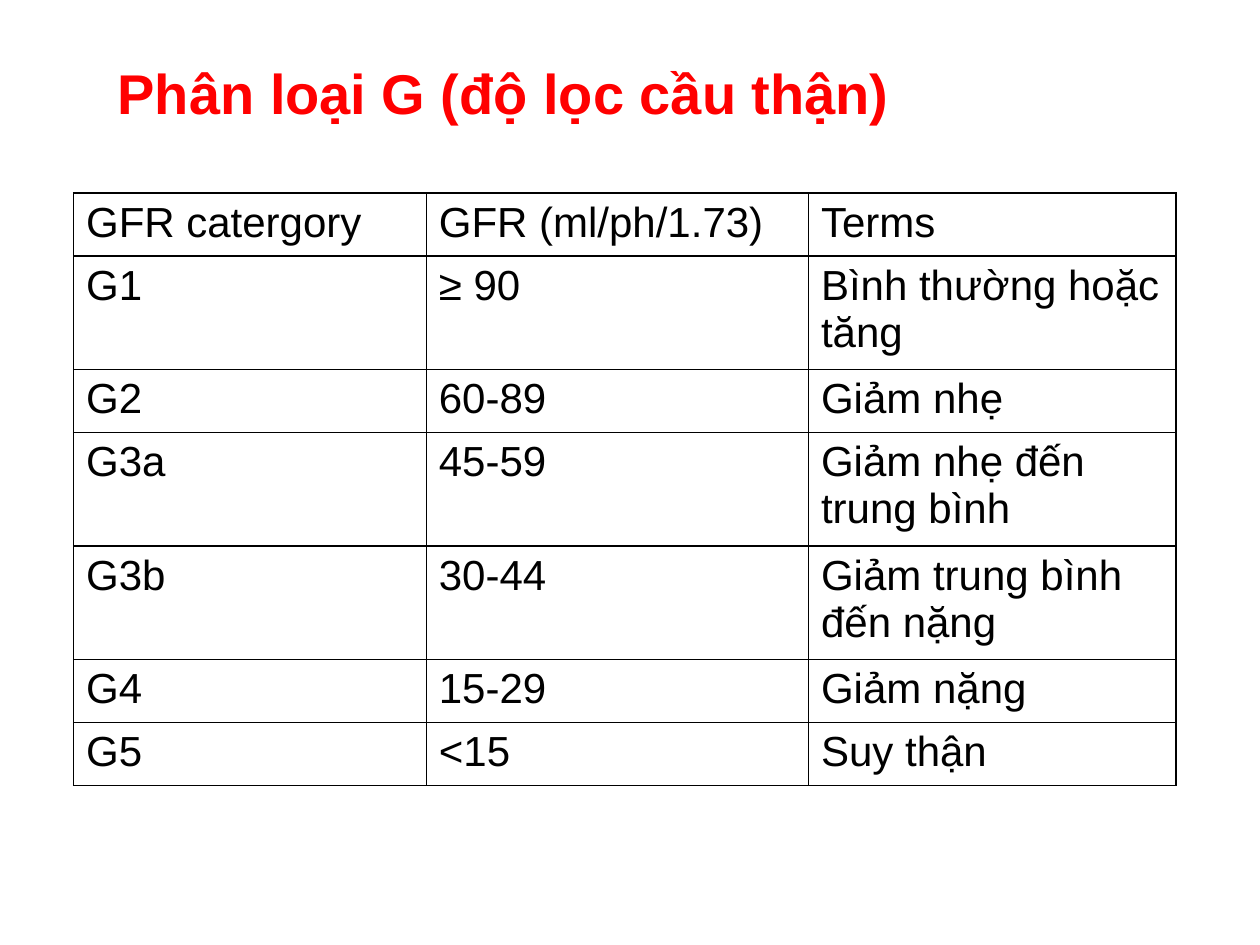
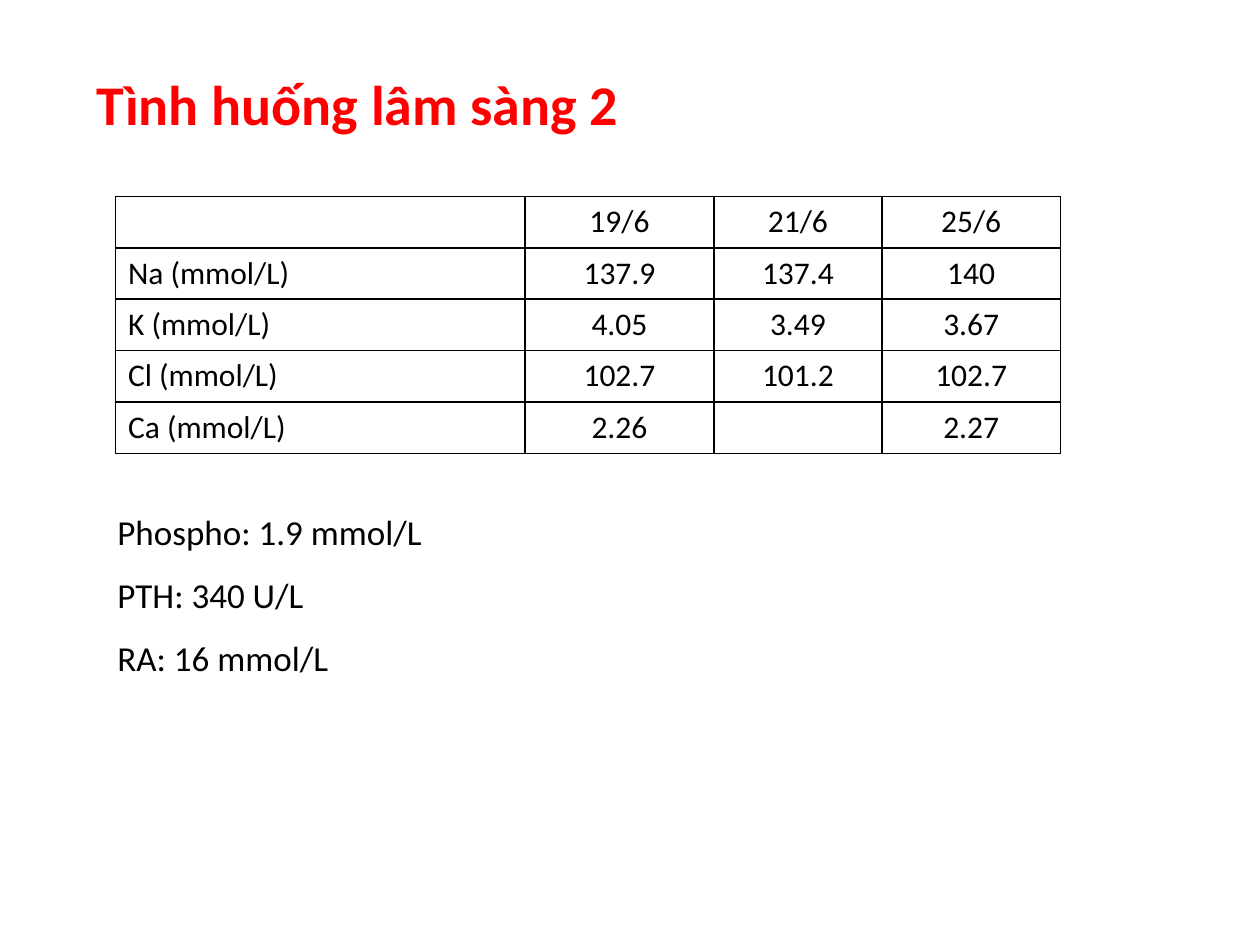
from lxml.etree import SubElement
from pptx import Presentation
from pptx.dml.color import RGBColor
from pptx.enum.text import MSO_ANCHOR as Anchor, MSO_AUTO_SIZE as AutoSize, PP_ALIGN as Align
from pptx.oxml.ns import qn
from pptx.util import Pt

PX = 7620  # EMU in one px, 120 px to the inch

RED = RGBColor(0xFF, 0x00, 0x00)
BLACK = RGBColor(0x00, 0x00, 0x00)

TITLE_HEIGHT = 77
BORDER_WIDTH = Pt(1)
BORDER_SIDES = ("a:lnL", "a:lnR", "a:lnT", "a:lnB")


class SlideBuilder:
    """Holds the shared style and the slide being built."""

    def __init__(self, presentation):
        self.presentation = presentation
        self.slide = None
        self.font_name = None

    def new_slide(self, font_name):
        layout = self.presentation.slide_layouts[5]  # title only
        self.slide = self.presentation.slides.add_slide(layout)
        self.font_name = font_name

    def place(self, shape, left, top, width, height):
        box = {"left": left, "top": top, "width": width, "height": height}
        for name, value in box.items():
            setattr(shape, name, value * PX)

    def add_text(self, paragraph, text, size, color=BLACK, bold=False):
        run = paragraph.add_run()
        run.text = text
        values = {"name": self.font_name, "size": Pt(size), "bold": bold}
        for name, value in values.items():
            setattr(run.font, name, value)
        run.font.color.rgb = color

    def title(self, text, left, top, width):
        shape = self.slide.shapes.title
        self.place(shape, left, top, width, TITLE_HEIGHT)
        frame = shape.text_frame
        values = {"word_wrap": True, "auto_size": AutoSize.NONE,
                  "vertical_anchor": Anchor.TOP}
        for name, value in values.items():
            setattr(frame, name, value)
        paragraph = frame.paragraphs[0]
        paragraph.alignment = Align.LEFT
        self.add_text(paragraph, text, 32, RED, bold=True)

    def text_lines(self, lines, left, top, width, height, size, gap):
        shape = self.slide.shapes.add_textbox(0, 0, 0, 0)
        self.place(shape, left, top, width, height)
        frame = shape.text_frame
        frame.word_wrap = True
        for index, line in enumerate(lines):
            paragraph = frame.add_paragraph() if index else frame.paragraphs[0]
            paragraph.space_before = Pt(gap if index else 0)
            paragraph.space_after = Pt(gap)
            self.add_text(paragraph, line, size)

    def border(self, cell):
        properties = cell._tc.get_or_add_tcPr()
        for side in BORDER_SIDES:
            line = SubElement(properties, qn(side), w=str(int(BORDER_WIDTH)))
            fill = SubElement(line, qn("a:solidFill"))
            SubElement(fill, qn("a:srgbClr"), val=str(BLACK))

    def table(self, rows, left, top, widths, heights, size, value_align):
        frame = self.slide.shapes.add_table(
            len(rows), len(widths), left * PX, top * PX,
            sum(widths) * PX, sum(heights) * PX)
        table = frame.table
        table.first_row = table.horz_banding = False
        for column, width in zip(table.columns, widths):
            column.width = width * PX
        for row, height, texts in zip(table.rows, heights, rows):
            row.height = height * PX
            for index, (cell, text) in enumerate(zip(row.cells, texts)):
                self.border(cell)
                cell.fill.background()
                paragraph = cell.text_frame.paragraphs[0]
                paragraph.alignment = value_align if index else Align.LEFT
                if text:
                    self.add_text(paragraph, text, size)


GFR_ROWS = [
    ("GFR catergory", "GFR (ml/ph/1.73)", "Terms"),
    ("G1", "≥ 90", "Bình thường hoặc tăng"),
    ("G2", "60-89", "Giảm nhẹ"),
    ("G3a", "45-59", "Giảm nhẹ đến trung bình"),
    ("G3b", "30-44", "Giảm trung bình đến nặng"),
    ("G4", "15-29", "Giảm nặng"),
    ("G5", "<15", "Suy thận"),
]

ELECTROLYTE_ROWS = [
    ("", "19/6", "21/6", "25/6"),
    ("Na (mmol/L)", "137.9", "137.4", "140"),
    ("K (mmol/L)", "4.05", "3.49", "3.67"),
    ("Cl (mmol/L)", "102.7", "101.2", "102.7"),
    ("Ca (mmol/L)", "2.26", "", "2.27"),
]

OTHER_RESULTS = ["Phospho: 1.9 mmol/L", "PTH: 340 U/L", "RA: 16 mmol/L"]


def main():
    presentation = Presentation()
    presentation.slide_width = 1200 * PX
    presentation.slide_height = 900 * PX
    builder = SlideBuilder(presentation)

    # GFR categories: rows whose term wraps to two lines are taller
    builder.new_slide("Arial")
    builder.title("Phân loại G (độ lọc cầu thận)", 100, 50, 900)
    heights = [108 if len(term) > 20 else 60 for _, _, term in GFR_ROWS]
    builder.table(GFR_ROWS, 70, 184, [336, 364, 350], heights, 24, Align.LEFT)

    # Clinical case 2: electrolytes by date, then the other results
    builder.new_slide("Calibri")
    builder.title("Tình huống lâm sàng 2", 80, 60, 970)
    heights = [49] * len(ELECTROLYTE_ROWS)
    builder.table(ELECTROLYTE_ROWS, 110, 187, [390, 180, 160, 170], heights, 18, Align.CENTER)
    builder.text_lines(OTHER_RESULTS, 100, 480, 920, 174, size=20, gap=6)

    presentation.save("out.pptx")


if __name__ == "__main__":
    main()
